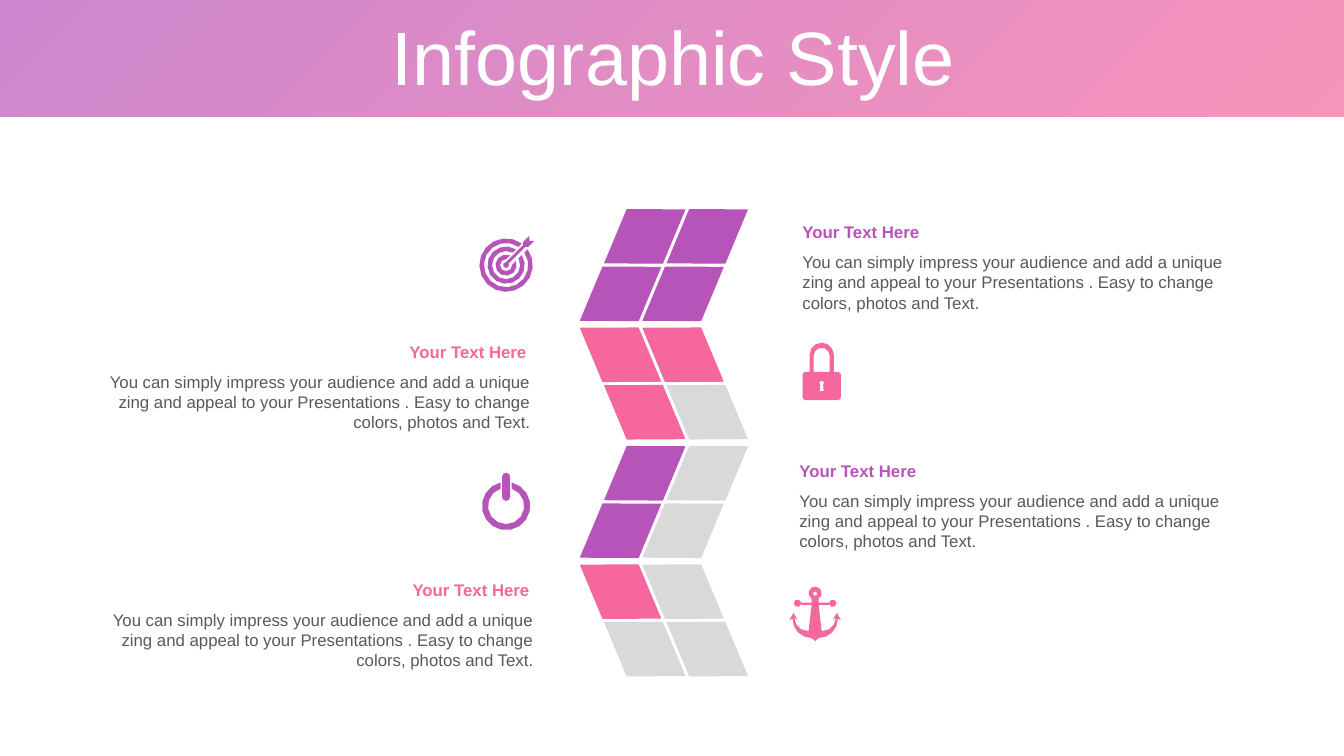
from math import acos, asin, ceil, cos, degrees, radians, sin

from lxml.etree import SubElement
from pptx import Presentation
from pptx.dml.color import RGBColor
from pptx.enum.shapes import MSO_SHAPE
from pptx.enum.text import MSO_ANCHOR, PP_ALIGN
from pptx.oxml.ns import qn
from pptx.util import Inches, Pt

COLORS = {
    "purple": "B754BA",
    "pink": "F5679D",
    "grey": "D9D9D9",
    "text": "595959",
    "white": "FFFFFF",
}
BODY = ("You can simply impress your audience and add a unique zing and appeal "
        "to your Presentations . Easy to change colors, photos and Text.")
FLATNESS = 0.005


def rgb(name):
    return RGBColor.from_string(COLORS[name])


def arc(cx, cy, r, start=0, end=360):
    """Points along a circle, as few as FLATNESS allows; degrees clockwise from the top."""
    widest = degrees(2 * acos(1 - FLATNESS / r))
    steps = max(2, ceil(abs(end - start) / widest))
    angles = [radians(start + (end - start) * i / steps) for i in range(steps + 1)]
    return [(cx + r * sin(a), cy - r * cos(a)) for a in angles]


def open_ring(cx, cy, outer, inner, gap, toward):
    """Ring cut by a straight slot of half width gap, facing the angle toward."""
    a, b = degrees(asin(gap / outer)), degrees(asin(gap / inner))
    return (arc(cx, cy, outer, toward + a, toward + 360 - a)
            + arc(cx, cy, inner, toward + 360 - b, toward + b))


def mirrored(half, axis):
    """Close a right half outline with its reflection in a vertical axis."""
    return half + [(2 * axis - x, y) for x, y in reversed(half)]


def target():
    cx, cy = 5.02, 2.63
    rings = [open_ring(cx, cy, r, r - 0.045, 0.04, 45) for r in (0.265, 0.185, 0.105)]
    arrow = [(5.04, 2.62), (5.21, 2.45), (5.24, 2.45), (5.3, 2.39), (5.25, 2.39),
             (5.25, 2.34), (5.19, 2.4), (5.19, 2.43), (5.02, 2.6)]
    return rings + [arrow + arc(cx, cy, 0.03, 0, -290)]


def power():
    cx = 5.02
    bar = arc(cx, 4.73, 0.04, -90, 90) + arc(cx, 4.93, 0.04, 90, 270)
    return [open_ring(cx, 5.02, 0.24, 0.18, 0.055, 0), bar]


def padlock():
    cx = 8.15
    outline = mirrored(arc(cx, 3.52, 0.12, 0, 90) + [(8.27, 3.69)]
                       + arc(8.31, 3.72, 0.03, 0, 90)
                       + arc(8.31, 3.94, 0.03, 90, 180), cx)
    opening = arc(cx, 3.53, 0.08, -90, 90) + [(8.23, 3.69), (8.07, 3.69)]
    keyhole = mirrored(arc(cx, 3.8, 0.025, 0, 145) + [(8.17, 3.88)], cx)
    return [outline, opening, keyhole]


def anchor():
    cx = 8.085
    half = (arc(cx, 5.885, 0.065, 0, 147) + [(8.12, 5.98), (8.22, 5.98)]
            + arc(8.26, 5.985, 0.037, -80, 260) + [(8.22, 6), (8.12, 6), (8.15, 6.26)]
            + arc(8.16, 6.13, 0.13, 180, 90)
            + [(8.26, 6.15), (8.3, 6.08), (8.34, 6.15), (8.31, 6.14)]
            + arc(8.12, 6.14, 0.19, 90, 180) + [(cx, 6.36)])
    return [mirrored(half, cx), arc(cx, 5.89, 0.022)]


class Deck:
    def __init__(self):
        self.prs = Presentation()
        self.prs.slide_width, self.prs.slide_height = Inches(13.33), Inches(7.5)
        self.s = self.prs.slides.add_slide(self.prs.slide_layouts[6])
        self.font = "Arial"

    def paint(self, sp, color):
        sp.shadow.inherit = False
        sp.fill.solid()
        sp.fill.fore_color.rgb = rgb(color)
        sp.line.fill.background()

    def banner(self, height, first, last, opacity):
        sp = self.s.shapes.add_shape(MSO_SHAPE.RECTANGLE, 0, 0,
                                     self.prs.slide_width, Inches(height))
        self.paint(sp, first)
        sp.fill.gradient()
        sp.fill.gradient_angle = 135
        for stop, color in zip(sp.fill.gradient_stops, (first, last)):
            stop.color.rgb = rgb(color)
        for clr in sp.element.spPr.iter(qn("a:srgbClr")):
            SubElement(clr, qn("a:alpha"), val=str(opacity * 1000))

    def text(self, words, box, color, size=12, bold=False,
             align=PP_ALIGN.LEFT, anchor=MSO_ANCHOR.TOP, spacing=1.0):
        tf = self.s.shapes.add_textbox(*map(Inches, box)).text_frame
        tf.word_wrap, tf.vertical_anchor = True, anchor
        p = tf.paragraphs[0]
        p.alignment, p.line_spacing = align, spacing
        r = p.add_run()
        r.text = words
        for name, value in {"name": self.font, "size": Pt(size), "bold": bold}.items():
            setattr(r.font, name, value)
        r.font.color.rgb = rgb(color)

    def caption(self, x, y, color, align):
        """Bold heading over a paragraph; right-aligned boxes are slightly wider."""
        right = align == PP_ALIGN.RIGHT
        self.text(BODY, (x, y + 0.3, 4.56 if right else 4.51, 0.71), "text", align=align)
        self.text("Your Text Here", (x, y, 4.52 if right else 4.47, 0.3), color,
                  bold=True, align=align)

    def tile(self, shapes, x, y, angle, color):
        sp = shapes.add_shape(MSO_SHAPE.FLOWCHART_DECISION, Inches(x), Inches(y),
                              Inches(0.97), Inches(0.65))
        sp.rotation = angle
        self.paint(sp, color)

    def zigzag(self, bands):
        """Stack of bands, each two rows of two tiles, leaning in turn."""
        shapes = self.s.shapes.add_group_shape().shapes
        for i, (color, rows) in enumerate(bands):
            lefts, angle = ((5.67, 5.91), 33.5) if i % 2 else ((5.91, 5.67), -33.5)
            for j, row in enumerate(rows):
                for k, filled in enumerate(row):
                    self.tile(shapes, lefts[j] + 0.62 * k, 2.02 + 1.175 * i + 0.57 * j,
                              angle, color if filled else "grey")

    def icon(self, contours, color):
        start = contours[0][0]
        fb = self.s.shapes.build_freeform(Inches(start[0]), Inches(start[1]))
        for contour in contours:
            points = [(Inches(x), Inches(y)) for x, y in contour]
            if contour is not contours[0]:
                fb.move_to(*points[0])
            fb.add_line_segments(points[1:], close=True)
        self.paint(fb.convert_to_shape(), color)


def main():
    deck = Deck()
    deck.banner(1.16, "pink", "purple", 70)
    deck.text("Infographic Style", (0.35, 0.21, 12.66, 0.79), "white", size=54,
              align=PP_ALIGN.CENTER, anchor=MSO_ANCHOR.MIDDLE, spacing=0.9)
    deck.zigzag([
        ("purple", ((1, 1), (1, 1))),
        ("pink", ((1, 1), (1, 0))),
        ("purple", ((1, 0), (1, 0))),
        ("pink", ((1, 0), (0, 0))),
    ])
    for x, y, color, align, outline in (
        (7.86, 2.15, "purple", PP_ALIGN.LEFT, target),
        (0.8, 3.34, "pink", PP_ALIGN.RIGHT, padlock),
        (7.83, 4.52, "purple", PP_ALIGN.LEFT, power),
        (0.83, 5.7, "pink", PP_ALIGN.RIGHT, anchor),
    ):
        deck.caption(x, y, color, align)
        deck.icon(outline(), color)
    deck.prs.save("out.pptx")


if __name__ == "__main__":
    main()
